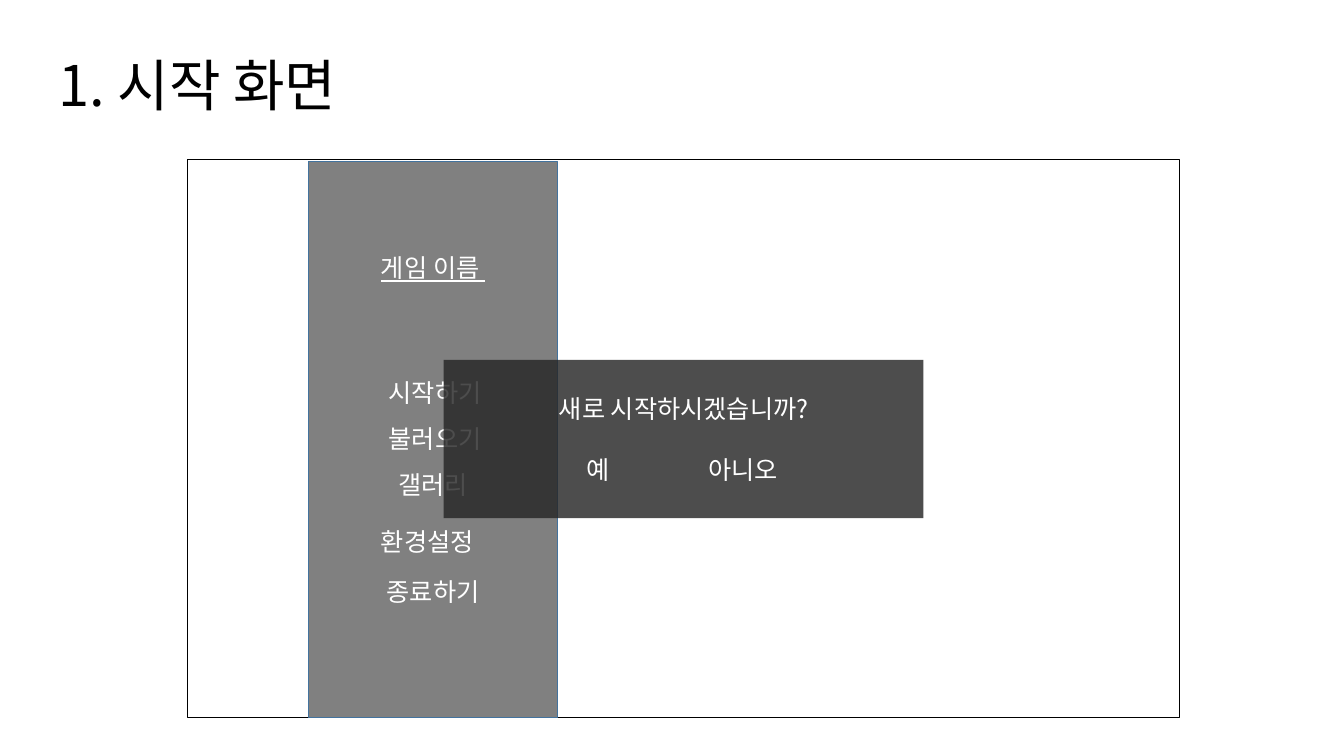
from dataclasses import dataclass

from lxml.etree import SubElement
from pptx import Presentation
from pptx.dml.color import RGBColor
from pptx.enum.shapes import MSO_SHAPE
from pptx.enum.text import MSO_ANCHOR, MSO_AUTO_SIZE as AutoSize, PP_ALIGN as Align
from pptx.oxml.ns import qn
from pptx.slide import Slide
from pptx.text.text import TextFrame, _Paragraph as Paragraph
from pptx.util import Emu, Pt

FONT = "Noto Sans CJK KR"
BLACK = RGBColor(0x00, 0x00, 0x00)
WHITE = RGBColor(0xFF, 0xFF, 0xFF)
GRAY = RGBColor(0x80, 0x80, 0x80)
BLUE = RGBColor(0x43, 0x73, 0x9E)
CHARCOAL = RGBColor(0x26, 0x26, 0x26)


@dataclass(frozen=True)
class Box:
    left: int
    top: int
    width: int
    height: int

    def emu(self) -> tuple[Emu, Emu, Emu, Emu]:
        return px(self.left), px(self.top), px(self.width), px(self.height)


@dataclass(frozen=True)
class Panel:
    box: Box
    fill: RGBColor
    line: RGBColor | None = None
    opacity: int = 100


@dataclass(frozen=True)
class Label:
    text: str
    box: Box
    align: Align = Align.CENTER
    underline: bool = False


SCREEN = Panel(Box(186, 158, 984, 554), WHITE, BLACK)
MENU = Panel(Box(306, 160, 247, 552), GRAY, BLUE)
DIALOG = Panel(Box(440, 357, 476, 157), CHARCOAL, opacity=82)
MENU_LABELS = (
    Label("게임 이름 ", Box(288, 245, 283, 71), underline=True),
    Label("시작하기", Box(370, 369, 123, 40)),
    Label("불러오기", Box(370, 415, 123, 40)),
    Label("갤러리", Box(368, 461, 123, 40)),
    Label("환경설정", Box(368, 517, 162, 40), Align.LEFT),
    Label("종료하기", Box(368, 567, 123, 40)),
)
QUESTION = Label("새로 시작하시겠습니까?", Box(472, 385, 412, 101))
ANSWERS = "\t예\t아니오"
ANSWER_CENTERS = (111, 255)


def px(value: int) -> Emu:
    return Emu(value * 9144)


def format_runs(paragraph: Paragraph, size: int, color: RGBColor, underline: bool = False) -> None:
    for run in paragraph.runs:
        run.font.size = Pt(size)
        run.font.color.rgb = color
        run.font.name = FONT
        if underline:
            run.font.underline = True
        SubElement(run._r.get_or_add_rPr(), qn("a:ea"), typeface=FONT)


def add_panel(slide: Slide, panel: Panel) -> None:
    shape = slide.shapes.add_shape(MSO_SHAPE.RECTANGLE, *panel.box.emu())
    shape.shadow.inherit = False
    shape.fill.solid()
    shape.fill.fore_color.rgb = panel.fill
    if panel.opacity < 100:
        color = shape._element.spPr.find(qn("a:solidFill")).find(qn("a:srgbClr"))
        SubElement(color, qn("a:alpha"), val=str(panel.opacity * 1000))
    if panel.line is None:
        shape.line.fill.background()
    else:
        shape.line.color.rgb = panel.line
        shape.line.width = Pt(1)


def add_label(slide: Slide, label: Label) -> TextFrame:
    text_frame = slide.shapes.add_textbox(*label.box.emu()).text_frame
    text_frame.word_wrap = True
    text_frame.auto_size = AutoSize.SHAPE_TO_FIT_TEXT
    text_frame.text = label.text
    paragraph = text_frame.paragraphs[0]
    paragraph.alignment = label.align
    format_runs(paragraph, 18, WHITE, label.underline)
    return text_frame


def add_answers(text_frame: TextFrame) -> None:
    paragraph = text_frame.add_paragraph()
    paragraph.text = ANSWERS
    paragraph.alignment = Align.LEFT
    paragraph.space_before = Pt(22)
    tab_list = SubElement(paragraph._p.get_or_add_pPr(), qn("a:tabLst"))
    for center in ANSWER_CENTERS:
        SubElement(tab_list, qn("a:tab"), pos=str(px(center)), algn="ctr")
    format_runs(paragraph, 18, WHITE)


def set_title(slide: Slide, text: str, box: Box) -> None:
    title = slide.shapes.title
    title.left, title.top, title.width, title.height = box.emu()
    text_frame = title.text_frame
    text_frame.text = text
    text_frame.word_wrap = True
    text_frame.auto_size = AutoSize.NONE
    text_frame.vertical_anchor = MSO_ANCHOR.MIDDLE
    paragraph = text_frame.paragraphs[0]
    paragraph.alignment = Align.LEFT
    paragraph.line_spacing = 0.9
    format_runs(paragraph, 40, BLACK)


def main() -> None:
    presentation = Presentation()
    presentation.slide_width, presentation.slide_height = px(1333), px(750)
    slide = presentation.slides.add_slide(presentation.slide_layouts[5])
    set_title(slide, "1. 시작 화면", Box(48, 15, 1150, 145))
    add_panel(slide, SCREEN)
    add_panel(slide, MENU)
    for label in MENU_LABELS:
        add_label(slide, label)
    add_panel(slide, DIALOG)
    add_answers(add_label(slide, QUESTION))
    presentation.save("out.pptx")


if __name__ == "__main__":
    main()
